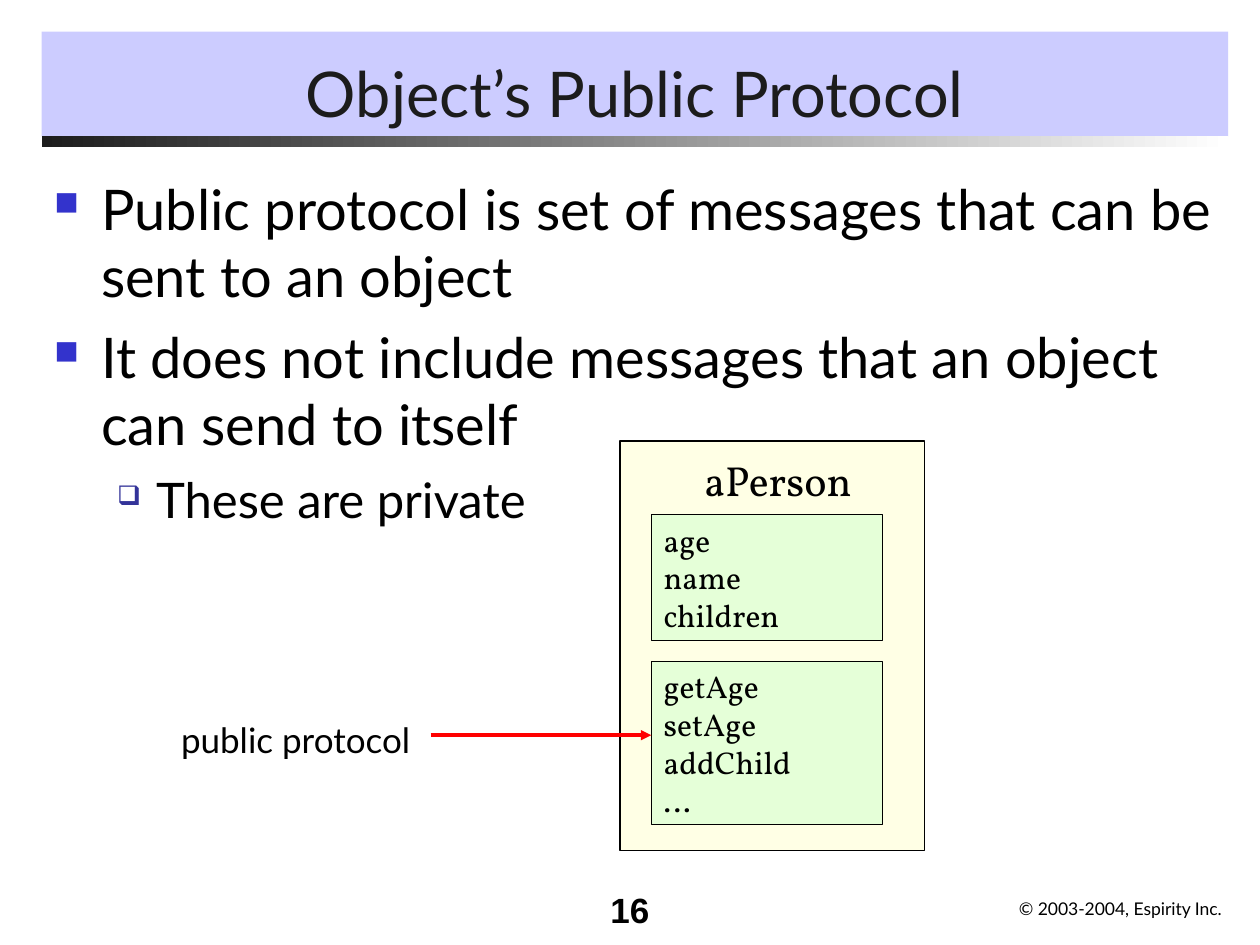
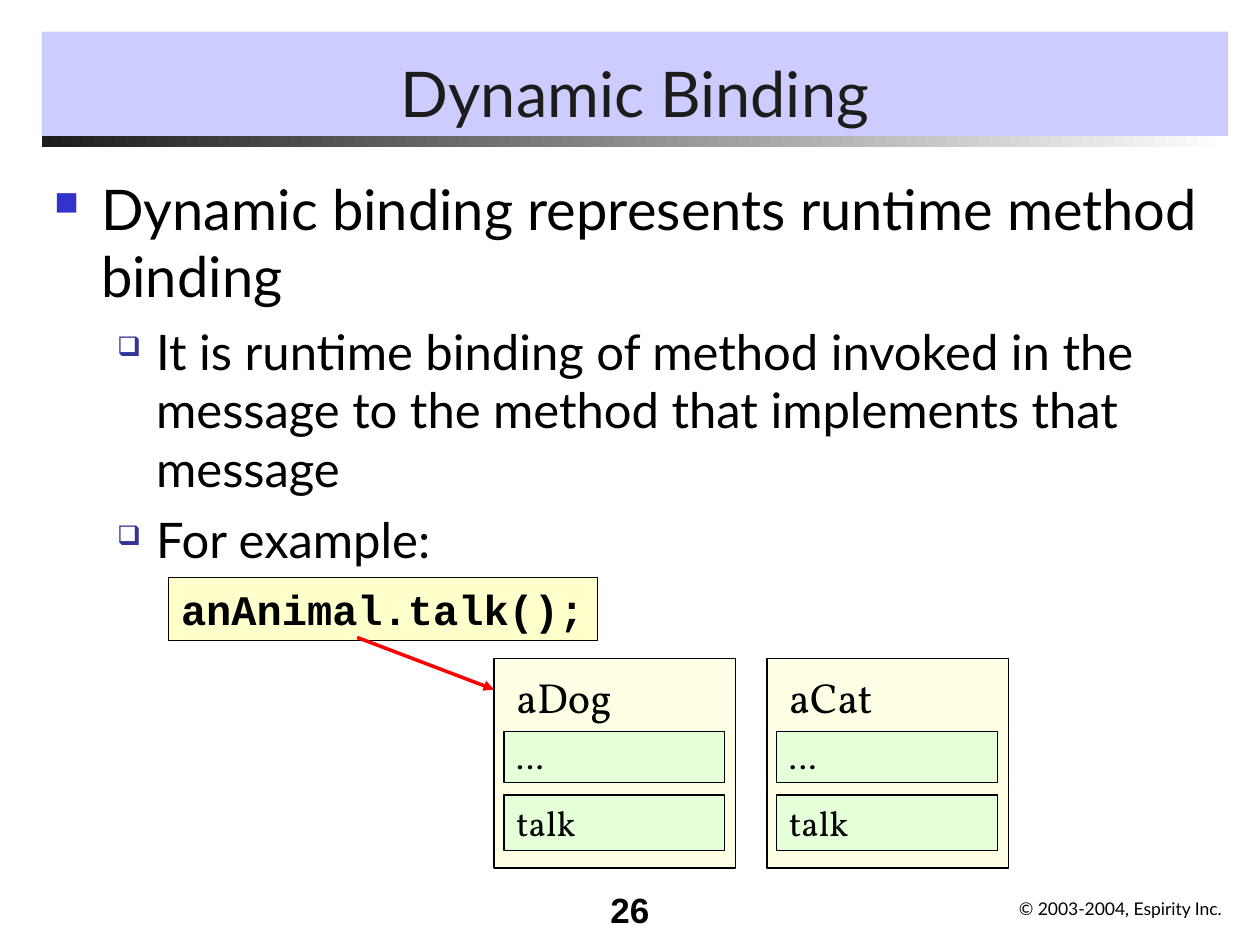
"""Builds two slides on public protocols and dynamic binding."""
from dataclasses import dataclass

from pptx import Presentation, util as u
from pptx.dml.color import RGBColor
from pptx.enum import shapes, text
from pptx.oxml.ns import qn
from lxml import etree


@dataclass(frozen=True)
class Theme:
    """Colours, fonts and type sizes of the deck."""
    ink: str = "000000"
    title_ink: str = "1C1C1C"
    title_band: str = "CCCCFF"
    paper: str = "FFFFFF"
    card: str = "FFFFCC"
    slot: str = "CCFFCC"
    code: str = "FFFF99"
    arrow: str = "FF0000"
    body_font: str = "Lato"
    object_font: str = "Vollkorn"
    code_font: str = "Courier New"
    number_font: str = "Arial"
    title_size: int = 36
    object_size: int = 24
    label_size: int = 20
    slot_size: int = 18
    footer_size: int = 10


@dataclass(frozen=True)
class BulletLevel:
    """Look of one bullet level, with indents in cm and sizes in points."""
    mark: str
    colour: str
    percent: int
    margin: float
    hanging: float
    space: int
    size: int


@dataclass(frozen=True)
class Slot:
    """One compartment of an object card."""
    lines: str
    height: float
    size: int = Theme.slot_size


THEME = Theme()
LEVELS = (
    BulletLevel("■", "3333CC", 60, 0.95, 0.95, 8, 32),
    BulletLevel("❑", "333399", 55, 2.06, 0.79, 7, 28),
)
BAND_LEFT, BAND_WIDTH = 0.84, 23.92


def rgb(colour):
    """Return a colour object for a hex string."""
    return RGBColor.from_string(colour)


def cm_box(*lengths):
    """Convert left, top, width and height from cm."""
    return [u.Cm(length) for length in lengths]


def add_element(parent, tag, **attributes):
    """Append a DrawingML element to its parent."""
    values = {name: str(value) for name, value in attributes.items()}
    return etree.SubElement(parent, qn(tag), values)


def style_font(font, name, size, colour=THEME.ink, bold=False):
    """Set face, size, colour and weight of a font."""
    font.name, font.size, font.bold = name, u.Pt(size), bold
    font.color.rgb = rgb(colour)


def write(shape, content, font, size, bold=False, align=text.PP_ALIGN.LEFT, wrap=True):
    """Fill a shape with text in one style, one paragraph per line."""
    frame = shape.text_frame
    frame.text = content
    frame.word_wrap = wrap
    frame.vertical_anchor = text.MSO_ANCHOR.TOP
    for paragraph in frame.paragraphs:
        paragraph.alignment = align
        for run in paragraph.runs:
            style_font(run.font, font, size, bold=bold)


def add_label(slide, box, content, font, size, **style):
    """Add a plain text box."""
    write(slide.shapes.add_textbox(*cm_box(*box)), content, font, size, **style)


def add_panel(slide, box, colour):
    """Add a half-transparent rectangle with a thin outline."""
    panel = slide.shapes.add_shape(shapes.MSO_SHAPE.RECTANGLE, *cm_box(*box))
    panel.shadow.inherit = False
    panel.fill.solid()
    panel.fill.fore_color.rgb = rgb(colour)
    add_element(panel.element.spPr.find(qn("a:solidFill"))[0], "a:alpha", val=50000)
    panel.line.color.rgb = rgb(THEME.ink)
    panel.line.width = u.Pt(0.75)
    return panel


def add_arrow(slide, *ends):
    """Add a red arrow between two points given in cm."""
    arrow = slide.shapes.add_connector(shapes.MSO_CONNECTOR.STRAIGHT, *cm_box(*ends))
    arrow.line.color.rgb = rgb(THEME.arrow)
    arrow.line.width = u.Pt(2)
    add_element(arrow.line._get_or_add_ln(), "a:tailEnd", type="triangle")
    add_element(arrow.element.spPr, "a:effectLst")


def add_object(slide, box, name, slots, name_inset, slot_inset, slot_width, gap):
    """Add an object card with its name and a stack of compartments."""
    left, top, width, _ = box
    add_panel(slide, box, THEME.card)
    add_label(slide, (left + name_inset, top + 0.15, width - name_inset, 1.27),
              name, THEME.object_font, THEME.object_size)
    slot_top = top + 1.48
    for slot in slots:
        panel = add_panel(slide, (left + slot_inset, slot_top, slot_width, slot.height),
                          THEME.slot)
        write(panel, slot.lines, THEME.object_font, slot.size)
        slot_top += slot.height + gap


def add_bullets(slide, items):
    """Add the body text from pairs of level and wording."""
    frame = slide.shapes.add_textbox(*cm_box(BAND_LEFT, 3.39, 24.03, 13.76)).text_frame
    frame.word_wrap = True
    frame.text = "\n".join(wording for _, wording in items)
    for index, (paragraph, (depth, _)) in enumerate(zip(frame.paragraphs, items)):
        level = LEVELS[depth]
        paragraph.level = depth
        properties = paragraph._p.get_or_add_pPr()
        properties.set("marL", str(u.Cm(level.margin)))
        properties.set("indent", str(-u.Cm(level.hanging)))
        add_element(add_element(properties, "a:buClr"), "a:srgbClr", val=level.colour)
        add_element(properties, "a:buSzPct", val=level.percent * 1000)
        add_element(properties, "a:buChar", char=level.mark)
        paragraph.space_before = u.Pt(level.space if index else 0)
        for run in paragraph.runs:
            style_font(run.font, THEME.body_font, level.size)


def add_title(slide, wording):
    """Place and format the title placeholder."""
    title = slide.shapes.title
    title.left, title.top, title.width, title.height = cm_box(BAND_LEFT, 0.64, BAND_WIDTH, 2.11)
    title.fill.solid()
    title.fill.fore_color.rgb = rgb(THEME.title_band)
    frame = title.text_frame
    frame.text = wording
    frame.auto_size = text.MSO_AUTO_SIZE.NONE
    frame.vertical_anchor = text.MSO_ANCHOR.BOTTOM
    frame.paragraphs[0].alignment = text.PP_ALIGN.CENTER
    style_font(frame.paragraphs[0].runs[0].font, THEME.body_font, THEME.title_size,
               THEME.title_ink)


def add_rule(slide):
    """Add the fading rule below the title band."""
    rule = slide.shapes.add_shape(shapes.MSO_SHAPE.RECTANGLE,
                                  *cm_box(BAND_LEFT, 2.75, BAND_WIDTH, 0.21))
    rule.shadow.inherit = False
    rule.line.fill.background()
    rule.fill.gradient()
    rule.fill.gradient_angle = 0
    for stop, colour in zip(rule.fill.gradient_stops, (THEME.title_ink, THEME.paper)):
        stop.color.rgb = rgb(colour)


def add_slide(presentation, title, number, bullets):
    """Add a slide with title band, footer and body text."""
    slide = presentation.slides.add_slide(presentation.slide_layouts.get_by_name("Title Only"))
    add_rule(slide)
    add_label(slide, (11.23, 17.78, 2.11, 1.27), number, THEME.number_font,
              THEME.label_size, bold=True, align=text.PP_ALIGN.RIGHT)
    add_label(slide, (20.29, 17.98, 4.7, 0.69), "© 2003-2004, Espirity Inc.",
              THEME.body_font, THEME.footer_size)
    add_title(slide, title)
    add_bullets(slide, bullets)
    return slide


def build_public_protocol(presentation):
    """Build the slide on an object's public protocol."""
    slide = add_slide(presentation, "Object’s Public Protocol", "16", (
        (0, "Public protocol is set of messages that can be sent to an object"),
        (0, "It does not include messages that an object can send to itself"),
        (1, "These are private"),
    ))
    slots = (Slot("age\nname\nchildren", 2.54), Slot("getAge\nsetAge\naddChild\n…", 3.3))
    add_object(slide, (12.5, 8.89, 6.14, 8.26), "aPerson", slots,
               name_inset=1.45, slot_inset=0.63, slot_width=4.66, gap=0.42)
    add_label(slide, (3.4, 14.35, 5.49, 1.12), "public protocol",
              THEME.body_font, THEME.label_size)
    add_arrow(slide, 8.68, 14.82, 13.13, 14.82)


def build_dynamic_binding(presentation):
    """Build the slide on dynamic binding."""
    slide = add_slide(presentation, "Dynamic Binding", "26", (
        (0, "Dynamic binding represents runtime method binding"),
        (1, "It is runtime binding of method invoked in the message to the method "
            "that implements that message"),
        (1, "For example:"),
    ))
    call = add_panel(slide, (3.4, 11.64, 8.64, 1.27), THEME.code)
    write(call, "anAnimal.talk();", THEME.code_font, THEME.object_size, bold=True, wrap=False)
    add_arrow(slide, 7.2, 12.85, 9.96, 13.9)
    slots = (Slot("…", 1.02), Slot("talk", 1.12, THEME.label_size))
    for column, name in enumerate(("aDog", "aCat")):
        add_object(slide, (9.96 + 5.5 * column, 13.27, 4.87, 4.23), name, slots,
                   name_inset=0.2, slot_inset=0.2, slot_width=4.45, gap=0.26)


def main():
    """Create the presentation and save it."""
    presentation = Presentation()
    presentation.slide_width, presentation.slide_height = u.Cm(25.4), u.Cm(19.05)
    build_public_protocol(presentation)
    build_dynamic_binding(presentation)
    presentation.save("out.pptx")


if __name__ == "__main__":
    main()
